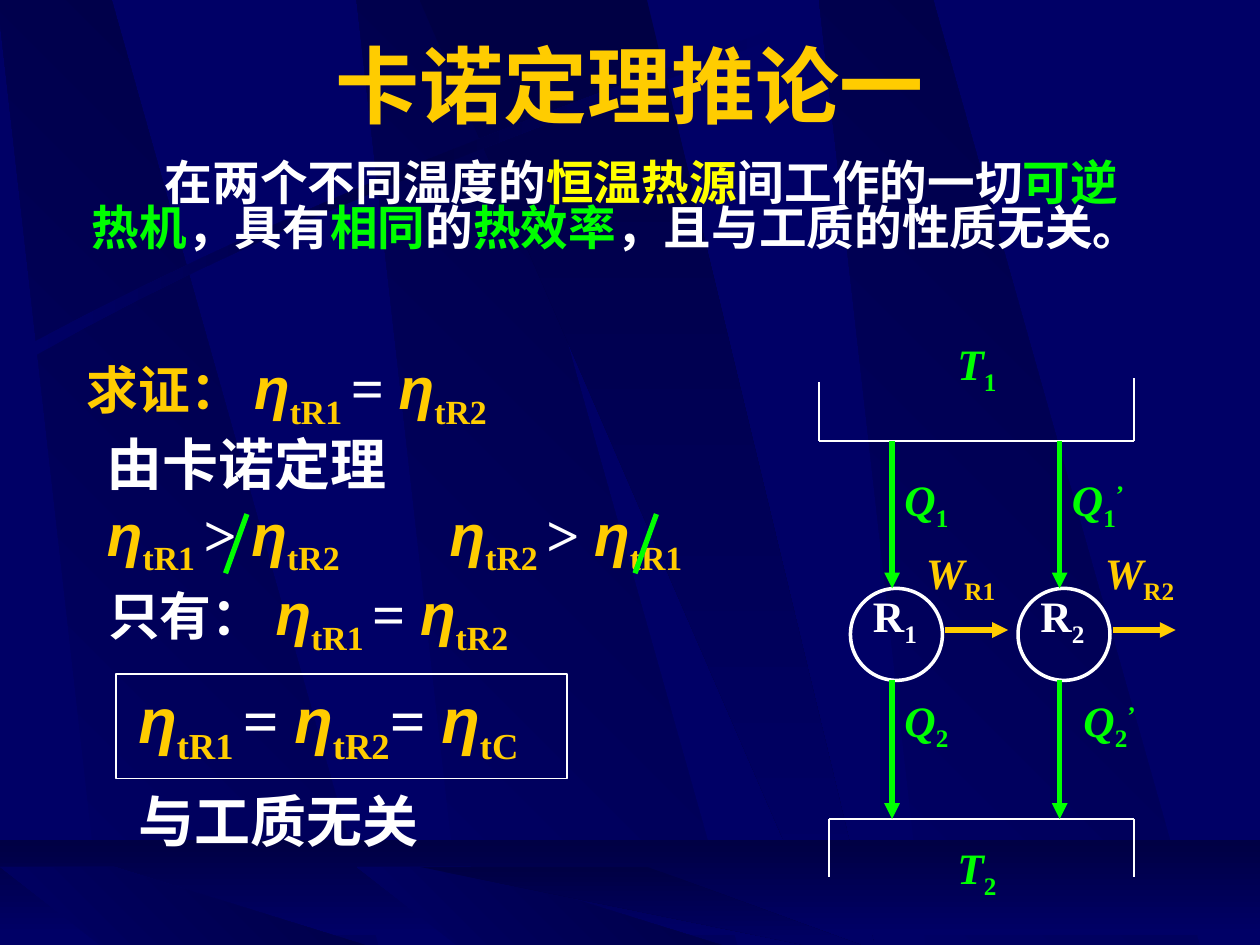
from copy import deepcopy

from lxml import etree
from pptx import Presentation
from pptx.dml.color import RGBColor
from pptx.enum.shapes import MSO_CONNECTOR, MSO_SHAPE
from pptx.enum.text import MSO_ANCHOR, PP_ALIGN
from pptx.oxml.ns import qn
from pptx.util import Inches, Pt

STRAIGHT = MSO_CONNECTOR.STRAIGHT
RECT, OVAL = MSO_SHAPE.RECTANGLE, MSO_SHAPE.OVAL
MIDDLE, CENTER = MSO_ANCHOR.MIDDLE, PP_ALIGN.CENTER
COLORS = {"navy": "000066", "dark": "000044", "gold": "FFCC00",
          "white": "FFFFFF", "yellow": "FFFF00", "green": "00FF00"}
SERIF, SANS, TITLE = "Times New Roman", "Arial", "Montserrat"
PANEL = [(0.28, 1), (1, 1), (0.3, 0), (0, 0)]
RAY = [(0, 0), (0.9, 1), (1, 1), (0.5, 0)]
FALL, RISE = ("navy", "dark"), ("dark", "navy")


def rgb(name):
    """Return the named colour."""
    return RGBColor.from_string(COLORS[name])


def add_text(slide, box, runs, size, spacing=1.0, align=None, anchor=None, indent=None, tab=None):
    """Add a one-paragraph text box of (text, format) runs."""
    tf = slide.shapes.add_textbox(*map(Inches, box)).text_frame
    tf.word_wrap = True
    if anchor is not None:
        tf.vertical_anchor = anchor
    p = tf.paragraphs[0]
    p.line_spacing = spacing
    if align is not None:
        p.alignment = align
    pPr = p._p.get_or_add_pPr()
    if indent:
        pPr.set("marL", str(Inches(indent[0])))
        pPr.set("indent", str(Inches(indent[1])))
    if tab:
        tabs = etree.SubElement(pPr, qn("a:tabLst"))
        etree.SubElement(tabs, qn("a:tab"), pos=str(Inches(tab)), algn="l")
    for text, fmt in runs:
        r = p.add_run()
        r.text = text
        values = {"name": SERIF, "size": size, "bold": True, "italic": False,
                  "color": "white", "base": 0, **fmt}
        r.font.color.rgb = rgb(values.pop("color"))
        base = values.pop("base")
        values["size"] = Pt(values["size"])
        for key, value in values.items():
            setattr(r.font, key, value)
        if base:
            r._r.get_or_add_rPr().set("baseline", str(base * 1000))


def add_line(slide, start, end, color, width, arrow=False):
    """Add a straight line, with an arrowhead at its end if asked."""
    ln = slide.shapes.add_connector(STRAIGHT, *map(Inches, (*start, *end)))
    ln.line.color.rgb = rgb(color)
    ln.line.width = Pt(width)
    if arrow:
        etree.SubElement(ln.line._get_or_add_ln(), qn("a:tailEnd"), type="triangle")
    etree.SubElement(ln._element.spPr, qn("a:effectLst"))


def add_outline(slide, kind, box, width):
    """Add an unfilled white preset shape."""
    sp = slide.shapes.add_shape(kind, *map(Inches, box))
    sp.shadow.inherit = False
    sp.fill.background()
    sp.line.color.rgb = rgb("white")
    sp.line.width = Pt(width)


def shade(sp, names, angle):
    """Fill a shape with an even gradient and no line."""
    sp.shadow.inherit = False
    sp.line.fill.background()
    sp.fill.gradient()
    stops = sp._element.spPr.find(qn("a:gradFill")).find(qn("a:gsLst"))
    for _ in names[2:]:
        stops.append(deepcopy(stops[0]))
    for i, (stop, name) in enumerate(zip(sp.fill.gradient_stops, names)):
        stop.color.rgb = rgb(name)
        stop.position = i / (len(names) - 1)
    sp.fill.gradient_angle = angle


def add_polygon(slide, box, fractions, names, angle):
    """Add a shaded polygon given as fractions of its box."""
    x, y, w, h = box
    pts = [(Inches(x + w * fx), Inches(y + h * fy)) for fx, fy in fractions]
    fb = slide.shapes.build_freeform(*pts[0], scale=1.0)
    fb.add_line_segments(pts[1:], close=True)
    shade(fb.convert_to_shape(), names, angle)


def bezier(points, steps=16):
    """Sample a cubic curve."""
    weights = [((1 - t) ** 3, 3 * t * (1 - t) ** 2, 3 * t * t * (1 - t), t ** 3)
               for t in (i / steps for i in range(steps + 1))]
    return [tuple(sum(k * p[axis] for k, p in zip(ws, points)) for axis in (0, 1))
            for ws in weights]


def add_backdrop(slide, box):
    """Draw the wall panels, the arc and the floor."""
    x, y, w, h = box
    floor = y + 6.88
    for dx in (2.83, -0.02, 6.5):
        add_polygon(slide, (x + dx, y, 3.02, h), PANEL, FALL, 45)
    add_polygon(slide, (x + 3.33, y, 3.61, h), RAY, RISE, 270)
    arc = (bezier([(0.2, 2.75), (2.84, 1.34), (5.24, 0.59), (6.26, 0.18)])
           + bezier([(6.29, 0.24), (5.28, 0.69), (2.54, 1.51), (0.23, 2.85)]))
    add_polygon(slide, (x, y, 1, 1), arc, ("navy", "dark", "navy"), 0)
    sp = slide.shapes.add_shape(RECT, *map(Inches, (x, y + 6.67, w, 0.75)))
    shade(sp, RISE, 270)
    for dx in (2.83, 0):
        add_polygon(slide, (x + dx, floor, 3.02, 0.66), PANEL, FALL, 45)
    add_polygon(slide, (x + 3.33, floor, 3.61, 0.66), RAY, RISE, 270)


def add_heading(slide, box):
    """Place the title and the statement of the corollary."""
    x, y, w, h = box
    gold = {"color": "gold"}
    add_text(slide, (x + 0.5, y, 8.5, 0.9),
             [("卡诺定理", {**gold, "name": TITLE}), ("推论一", gold)],
             48, align=CENTER, anchor=MIDDLE)
    statement = [("在两个不同温度的", "white"), ("恒温热源", "yellow"),
                 ("间工作的一切", "white"), ("可逆热机", "green"), ("，具有", "white"),
                 ("相同", "green"), ("的", "white"), ("热效率", "green"),
                 ("，且与工质的性质无关。", "white")]
    add_text(slide, (x, y + 1.03, w, h - 1.03),
             [(text, {"color": color}) for text, color in statement],
             27.2, 0.8, indent=(0.38, 0.58))


def eta(sub):
    """Return the runs of an efficiency symbol with its subscript."""
    return [("η", {"name": SANS, "color": "gold", "italic": True}),
            (sub, {"color": "gold", "base": -25})]


def relation(left, sign, right):
    """Return the runs that relate two efficiencies."""
    return [*eta(left + " "), (sign + " ", {}), *eta(right)]


def add_proof(slide, box):
    """Place the steps of the proof and the framed result."""
    x, y, w, h = box
    equal = relation("tR1", "=", "tR2")
    add_text(slide, (x, y, 4.4, 0.75),
             [("求证： ", {"size": 29.6, "color": "gold"}), *equal], 33.3, 0.9)
    add_text(slide, (x + 0.16, y + 0.61, 2.5, 0.75), [("由卡诺定理", {})], 32)
    add_text(slide, (x + 0.16, y + 1.16, w, 0.75),
             [*relation("tR1", ">", "tR2"), ("\t", {}), *relation("tR2", ">", "tR1")],
             33.3, 0.9, tab=2.72)
    for dx in (1.2, 4.45):
        add_line(slide, (x + dx + 0.17, y + 1.33), (x + dx, y + 1.8), "green", 3)
    add_text(slide, (x + 0.17, y + 1.79, 4.15, 0.75),
             [("只有： ", {"size": 29.6}), *equal], 33.3, 0.9)
    add_text(slide, (x + 0.41, y + 2.6, 3.5, 0.79), [*equal, ("= ", {}), *eta("tC")], 36)
    add_outline(slide, RECT, (x + 0.33, y + 2.6, 3.58, 0.83), 1)
    add_text(slide, (x + 0.24, y + h - 0.64, 2.76, 0.64), [("与工质无关", {})], 32, align=CENTER)


def add_label(slide, x, y, letter, sub, color="green", italic=True, mark=""):
    """Place a subscripted letter, with a raised mark if any."""
    runs = [(letter, {"color": color, "italic": italic}), (sub, {"color": color, "base": -25})]
    if mark:
        runs.append((mark, {"color": color, "base": 30}))
    add_text(slide, (x, y, 1.1, 0.58), runs, 24.8, 0.8)


def add_engine(slide, box, sub, mark, q2_dx, w_dx):
    """Draw one engine with its heat and work flows."""
    x, y, w, h = box
    top, bottom, flow = y + 1.17, y + 1.9, x + 0.33
    add_label(slide, x + 0.08, top, "R", sub, "white", False)
    add_outline(slide, OVAL, (x, top, w, w), 2)
    add_line(slide, (flow, y), (flow, top), "green", 3, True)
    add_line(slide, (flow, bottom), (flow, y + h), "green", 3, True)
    add_line(slide, (x + 0.75, y + 1.5), (x + 1.25, y + 1.5), "gold", 3, True)
    add_label(slide, flow, y + 0.25, "Q", "1", mark=mark)
    add_label(slide, x + q2_dx, y + 2, "Q", "2", mark=mark)
    add_label(slide, x + w_dx, y + 0.83, "W", "R" + sub, "gold")


def add_heat_diagram(slide, box):
    """Draw the two reservoirs and the engines between them."""
    x, y, w, h = box
    hot, cold, right = y + 0.83, y + 3.83, x + w
    hot_rim = [(x, y + 0.36), (x, hot), (right, hot), (right, y + 0.33)]
    cold_rim = [(x + 0.08, y + h), (x + 0.08, cold), (right, cold), (right, y + h)]
    for rim in (hot_rim, cold_rim):
        for start, end in zip(rim, rim[1:]):
            add_line(slide, start, end, "white", 1.5)
    add_label(slide, x + 1, y, "T", "1")
    add_label(slide, x + 1, y + 4, "T", "2")
    for i, spec_values in enumerate([("1", "", 0.33, 0.5), ("2", "’", 0.42, 0.59)]):
        add_engine(slide, (x + 0.25 + 1.33 * i, hot, 0.73, 3), *spec_values)


def main():
    """Build the slide and save it."""
    prs = Presentation()
    prs.slide_width, prs.slide_height = Inches(10), Inches(7.5)
    slide = prs.slides.add_slide(prs.slide_layouts[6])
    slide.background.fill.solid()
    slide.background.fill.fore_color.rgb = rgb("navy")
    add_backdrop(slide, (0, 0, 10, 7.5))
    add_heading(slide, (0.25, 0.22, 9.08, 2.2))
    add_proof(slide, (0.59, 2.75, 5.58, 4.08))
    add_heat_diagram(slide, (6.5, 2.67, 2.5, 4.29))
    prs.save("out.pptx")


if __name__ == "__main__":
    main()
